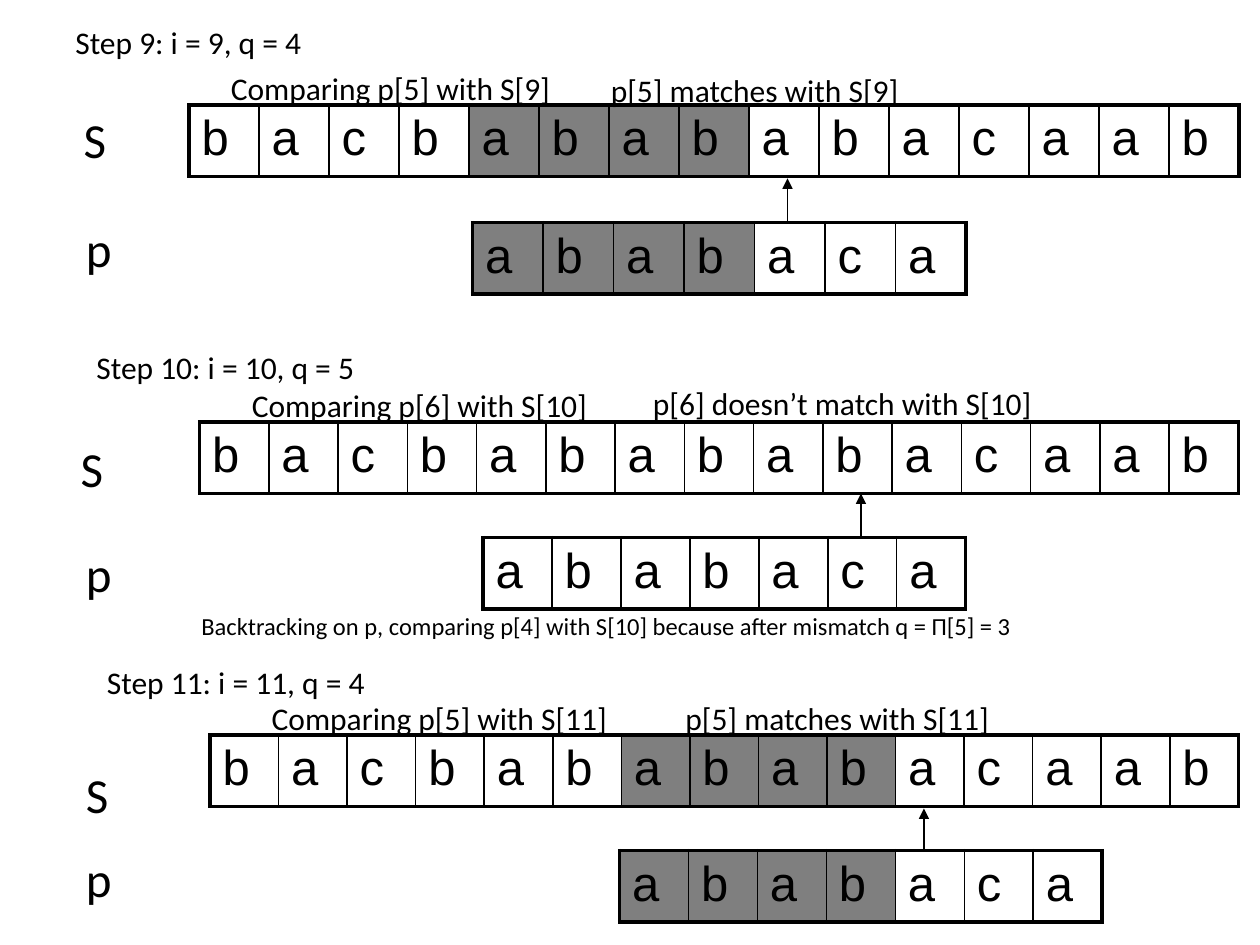
from lxml import etree
from pptx import Presentation
from pptx.dml.color import RGBColor
from pptx.enum.shapes import MSO_CONNECTOR
from pptx.enum.text import MSO_AUTO_SIZE
from pptx.oxml.ns import qn
from pptx.util import Inches, Pt

STRAIGHT = MSO_CONNECTOR.STRAIGHT
GROW = MSO_AUTO_SIZE.SHAPE_TO_FIT_TEXT
FIXED = MSO_AUTO_SIZE.NONE
INK = "000000"


def color(value):
    return RGBColor.from_string(value)


def grid(units):
    return Inches(units / 12)


def write(frame, text, font="Calibri", size=18, ink=INK, line_spacing=None, hanging=0):
    paragraph = frame.paragraphs[0]
    paragraph.line_spacing = line_spacing
    if hanging:
        properties = paragraph._p.get_or_add_pPr()
        properties.set("marL", str(grid(hanging)))
        properties.set("indent", str(-grid(hanging)))
    run = paragraph.add_run()
    run.text = text
    run.font.name = font
    run.font.size = Pt(size)
    run.font.color.rgb = color(ink)


def add_solid(parent, ink, opacity=100):
    fill = etree.SubElement(parent, qn("a:solidFill"))
    tone = etree.SubElement(fill, qn("a:srgbClr"), val=ink)
    if opacity < 100:
        etree.SubElement(tone, qn("a:alpha"), val=str(opacity * 1000))


class MatchingSlide:
    """Draws string matching steps on a grid of 120 columns by 90 rows."""

    outer, inner, row_height = 2.25, 1, 6.8

    def __init__(self, presentation):
        self.slide = presentation.slides.add_slide(presentation.slide_layouts[6])

    def label(self, text, left, top, width, height=4.8, wrap=False, **style):
        shape = self.slide.shapes.add_textbox(*map(grid, (left, top, width, height)))
        frame = shape.text_frame
        frame.word_wrap = wrap
        frame.auto_size = FIXED if wrap else GROW
        write(frame, text, **style)

    def letters(self, text, left, top, width, shaded=()):
        count = len(text)
        frame = self.slide.shapes.add_table(
            1, count, *map(grid, (left, top, width, self.row_height)))
        table = frame.table
        table.first_row = table.horz_banding = False
        for index, letter in enumerate(text):
            table.columns[index].width = grid(width / count)
            cell = table.cell(0, index)
            write(cell.text_frame, letter, font="Arial", size=28)
            self.cell_style(cell, index == 0, index == count - 1, index in shaded)

    def cell_style(self, cell, first, last, shaded):
        properties = cell._tc.get_or_add_tcPr()
        widths = {
            "L": self.outer if first else self.inner,
            "R": self.outer if last else self.inner,
            "T": self.outer,
            "B": self.outer,
        }
        for side, width in widths.items():
            border = etree.SubElement(properties, qn("a:ln" + side), w=str(Pt(width)))
            add_solid(border, INK)
        if shaded:
            add_solid(properties, INK, opacity=50)
        else:
            etree.SubElement(properties, qn("a:noFill"))

    def arrow_up(self, column, bottom, length=4):
        connector = self.slide.shapes.add_connector(
            STRAIGHT, *map(grid, (column, bottom, column, bottom - length)))
        connector.line.color.rgb = color(INK)
        connector.line.width = Pt(0.75)
        etree.SubElement(connector.line._get_or_add_ln(), qn("a:tailEnd"), type="triangle")
        etree.SubElement(connector._element.spPr, qn("a:effectLst"))


STRING = "bacbababacaab"
STRING = "bacb" + "ababab" + "acaab"
PATTERN = "ababaca"
STEPS = [
    dict(title=("Step 9: i = 9, q = 4", 6, 2, 30),
         notes=[("Comparing p[5] with S[9]", 20.8, 6, 35.3),
                ("p[5] matches with S[9]", 57, 6.2, 31.9)],
         names=[("S", 6.8, 9.8, 5.5), ("p", 7, 20.2, 5)],
         string=(18, 10, 100, range(4, 8)), pattern=(45, 21.2, 47, range(4)),
         arrow=(75, 21)),
    dict(title=("Step 10: i = 10, q = 5", 8, 33, 34),
         notes=[("Comparing p[6] with S[10]", 22.8, 36.2, 37),
                ("p[6] doesn’t match with S[10]", 61, 36, 40.9)],
         names=[("S", 6.5, 41.2, 5.5), ("p", 7, 51.2, 5)],
         string=(19, 40.2, 99), pattern=(46, 51.2, 46),
         arrow=(82, 51)),
    dict(title=("Step 11: i = 11, q = 4", 9, 63, 46),
         notes=[("Comparing p[5] with S[11]", 24.7, 66, 37),
                ("p[5] matches with S[11]", 64.1, 66, 33.6)],
         names=[("S", 7, 72.2, 5.5), ("p", 7, 80.2, 5)],
         string=(20, 70, 98, range(6, 10)), pattern=(59, 81, 46, range(4)),
         arrow=(88, 81)),
]

presentation = Presentation()
presentation.slide_width = grid(120)
presentation.slide_height = grid(90)
matching = MatchingSlide(presentation)
for step in STEPS:
    matching.label(*step["title"], height=3, wrap=True, line_spacing=0.9, hanging=4.5)
    for note in step["notes"]:
        matching.label(*note)
    for name in step["names"]:
        matching.label(*name, height=6.8, size=28)
    matching.letters(STRING, *step["string"])
    matching.letters(PATTERN, *step["pattern"])
    matching.arrow_up(*step["arrow"])
matching.label("Backtracking on p, comparing p[4] with S[10] because after mismatch q = Π[5] = 3",
               18, 57.6, 102, height=6.8, wrap=True, size=14)
presentation.save("out.pptx")
